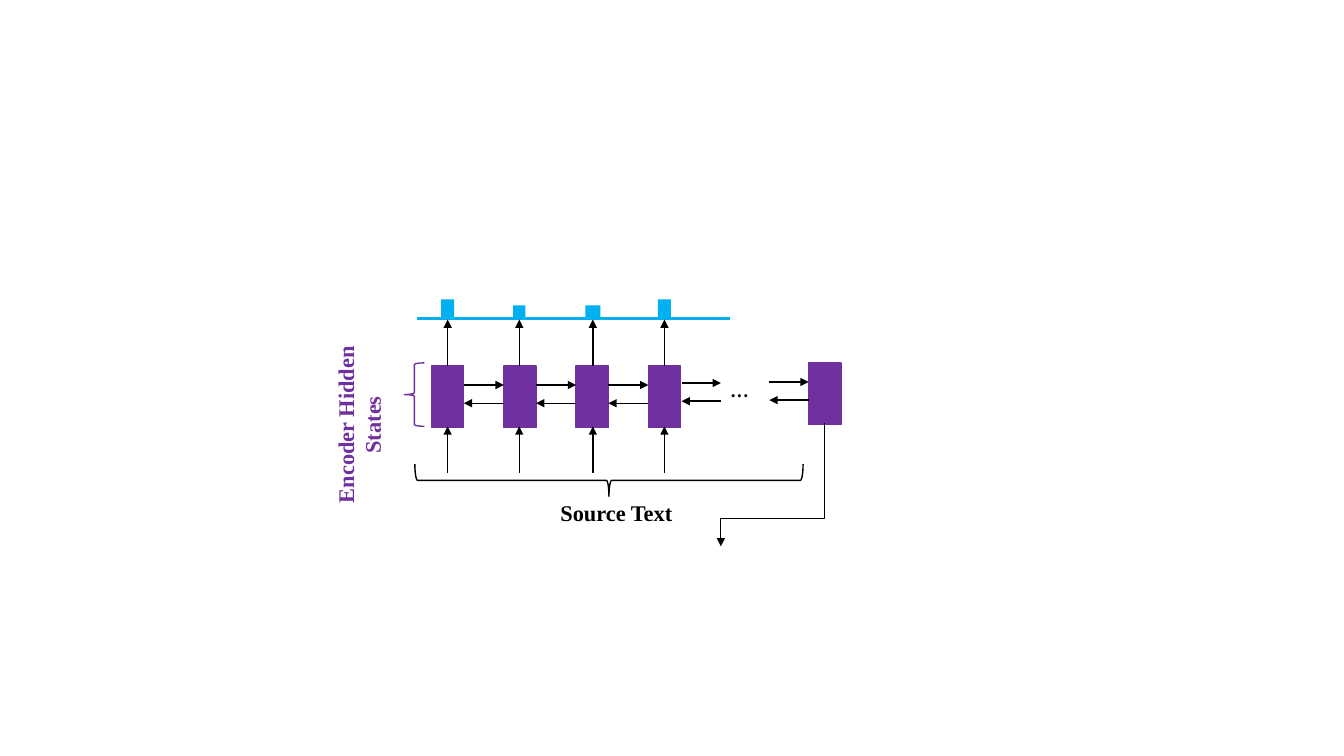
from lxml.etree import SubElement
from pptx import Presentation
from pptx.dml.color import RGBColor
from pptx.enum.shapes import MSO_CONNECTOR, MSO_SHAPE
from pptx.enum.text import MSO_AUTO_SIZE, PP_ALIGN
from pptx.oxml.ns import qn
from pptx.util import Inches, Pt

PURPLE = RGBColor(0x70, 0x30, 0xA0)
BLUE = RGBColor(0x00, 0xB0, 0xF0)
BLACK = RGBColor(0, 0, 0)
SERIF = "Times New Roman"
CELL_W, CELL_H = 0.32, 0.61
CELL_TOP = 3.63
AXIS_Y = 3.16


def add_form(slide, kind, box, fill=None, line=None):
    """Add a preset shape with an optional fill and outline."""
    form = slide.shapes.add_shape(kind, *map(Inches, box))
    form.shadow.inherit = False
    if fill is None:
        form.fill.background()
    else:
        form.fill.solid()
        form.fill.fore_color.rgb = fill
    if line is None:
        form.line.fill.background()
    else:
        form.line.color.rgb = line
        form.line.width = Pt(1)
    return form


def add_line(slide, start, end, color=BLACK, width=1, head=True,
             kind=MSO_CONNECTOR.STRAIGHT):
    """Add a connector, with an arrowhead at its end if asked."""
    points = map(Inches, (*start, *end))
    line = slide.shapes.add_connector(kind, *points)
    line.line.color.rgb = color
    line.line.width = Pt(width)
    if head:
        SubElement(line.line._get_or_add_ln(), qn("a:tailEnd"), type="triangle")
    SubElement(line._element.spPr, qn("a:effectLst"))
    return line


def add_label(slide, box, text, size, font, color=BLACK, bold=False):
    """Add a one-paragraph text box and return it."""
    label = slide.shapes.add_textbox(*map(Inches, box))
    frame = label.text_frame
    frame.word_wrap = True
    frame.auto_size = MSO_AUTO_SIZE.SHAPE_TO_FIT_TEXT
    frame.text = text
    style = frame.paragraphs[0].font
    style.size, style.name, style.bold = Pt(size), font, bold
    style.color.rgb = color
    return label


def add_cell(slide, left, top=CELL_TOP):
    """Add one hidden state of the encoder."""
    box = (left, top, CELL_W, CELL_H)
    add_form(slide, MSO_SHAPE.RECTANGLE, box, PURPLE, PURPLE)


def add_pair(slide, left, right, top):
    """Add a forward arrow with a backward arrow below it."""
    add_line(slide, (left, top), (right, top))
    add_line(slide, (right, top + 0.18), (left, top + 0.18))


def add_bend(slide, start, end, share):
    """Add an arrow that goes down, across and down again."""
    across, down = start[0] - end[0], end[1] - start[1]
    left = (start[0] + end[0] - down) / 2
    top = (start[1] + end[1] - across) / 2
    bend = add_line(slide, (left, top), (left + down, top + across),
                    width=0.75, kind=MSO_CONNECTOR.ELBOW)
    bend.rotation = 90 if hasattr(bend, "rotation") else None
    shape = bend._element.spPr
    shape.find(qn("a:xfrm")).set("rot", "5400000")
    guides = shape.find(qn("a:prstGeom")).find(qn("a:avLst"))
    SubElement(guides, qn("a:gd"), name="adj1", fmla=f"val {round(share * 100000)}")


def add_states(slide):
    """Add the chain of hidden states and its links."""
    lefts = [4.28 + 0.717 * step for step in range(4)]
    for left in lefts:
        add_cell(slide, left)
    for left, right in zip(lefts, lefts[1:]):
        add_pair(slide, left + CELL_W, right, 3.82)
    add_pair(slide, 6.76, 7.15, 3.8)
    add_label(slide, (7.15, 3.64, 0.55, 0.4), "…", 18, "Calibri")
    add_cell(slide, 8.02, 3.6)
    add_pair(slide, 7.63, 8.02, 3.79)


def add_weights(slide):
    """Add the input arrows, output arrows and bars on the axis."""
    add_line(slide, (4.14, AXIS_Y), (7.24, AXIS_Y), BLUE, 1.5, head=False)
    bars = [(4.44, 0.13, 0.19), (5.15, 0.12, 0.13),
            (5.88, 0.15, 0.13), (6.59, 0.13, 0.19)]
    for mid, width, height in bars:
        box = (mid - width / 2, AXIS_Y - height, width, height)
        add_form(slide, MSO_SHAPE.RECTANGLE, box, BLUE)
        add_line(slide, (mid, 4.69), (mid, 4.23))
        add_line(slide, (mid, CELL_TOP), (mid, AXIS_Y + 0.01))


def add_notes(slide):
    """Add the braces and the labels beside them."""
    title = add_label(slide, (3.24, 3.31, 0.74, 1.81), "Encoder Hidden States",
                      16, SERIF, PURPLE, True)
    title.text_frame.paragraphs[0].alignment = PP_ALIGN.CENTER
    title.text_frame._txBody.bodyPr.set("vert", "vert270")
    add_form(slide, MSO_SHAPE.LEFT_BRACE, (4.01, 3.6, 0.2, 0.63), line=PURPLE)
    brace = add_form(slide, MSO_SHAPE.LEFT_BRACE, (5.88, 2.84, 0.32, 3.85), line=BLACK)
    brace.rotation = 270
    add_label(slide, (5.46, 4.9, 1.37, 0.37), "Source Text", 16, SERIF, bold=True)


def main():
    """Build the slide and save it."""
    deck = Presentation()
    deck.slide_width, deck.slide_height = Inches(13.33), Inches(7.5)
    slide = deck.slides.add_slide(deck.slide_layouts[6])
    add_states(slide)
    add_weights(slide)
    add_notes(slide)
    add_bend(slide, (8.18, 4.2), (7.15, 5.42), 0.77)
    deck.save("out.pptx")


main()
